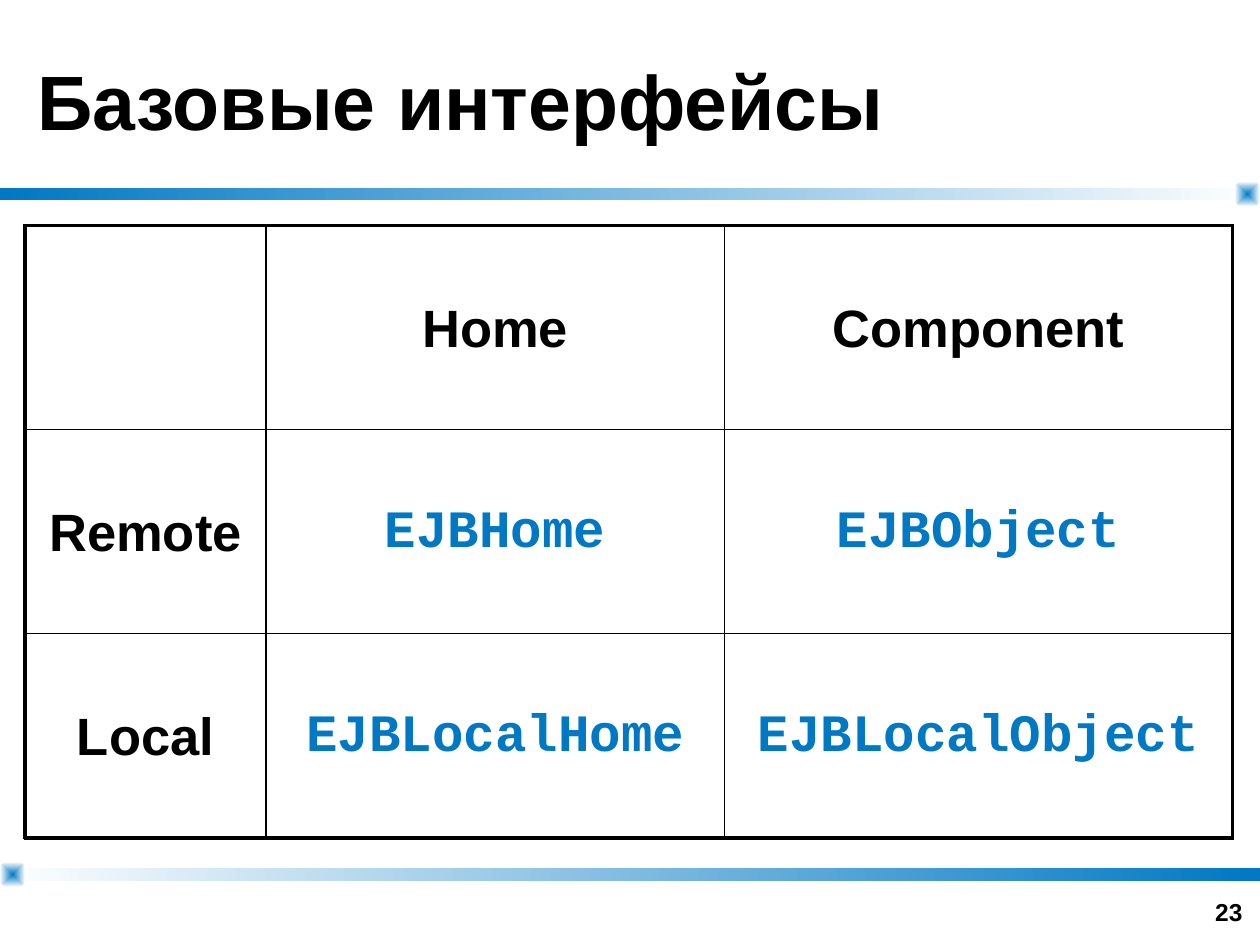
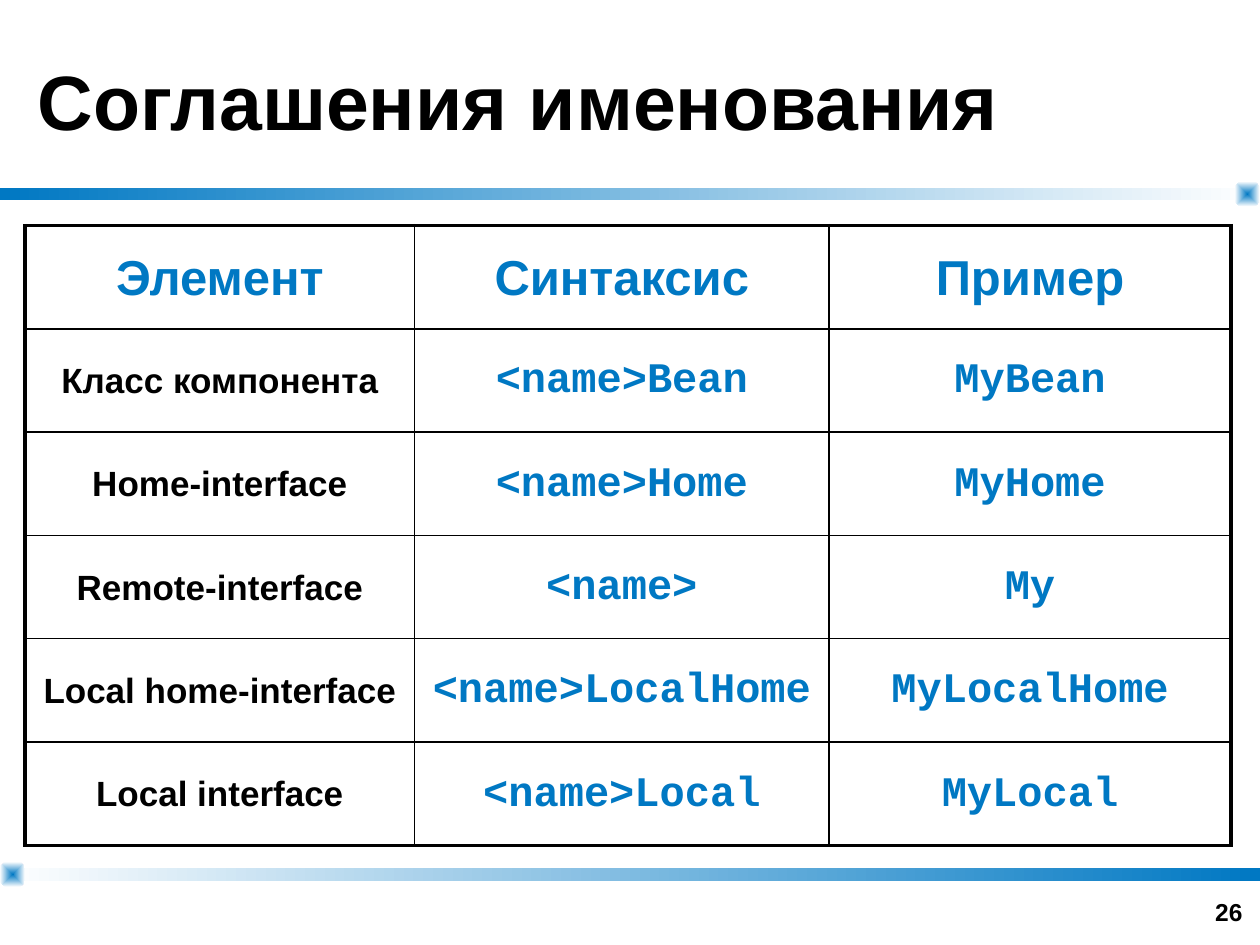
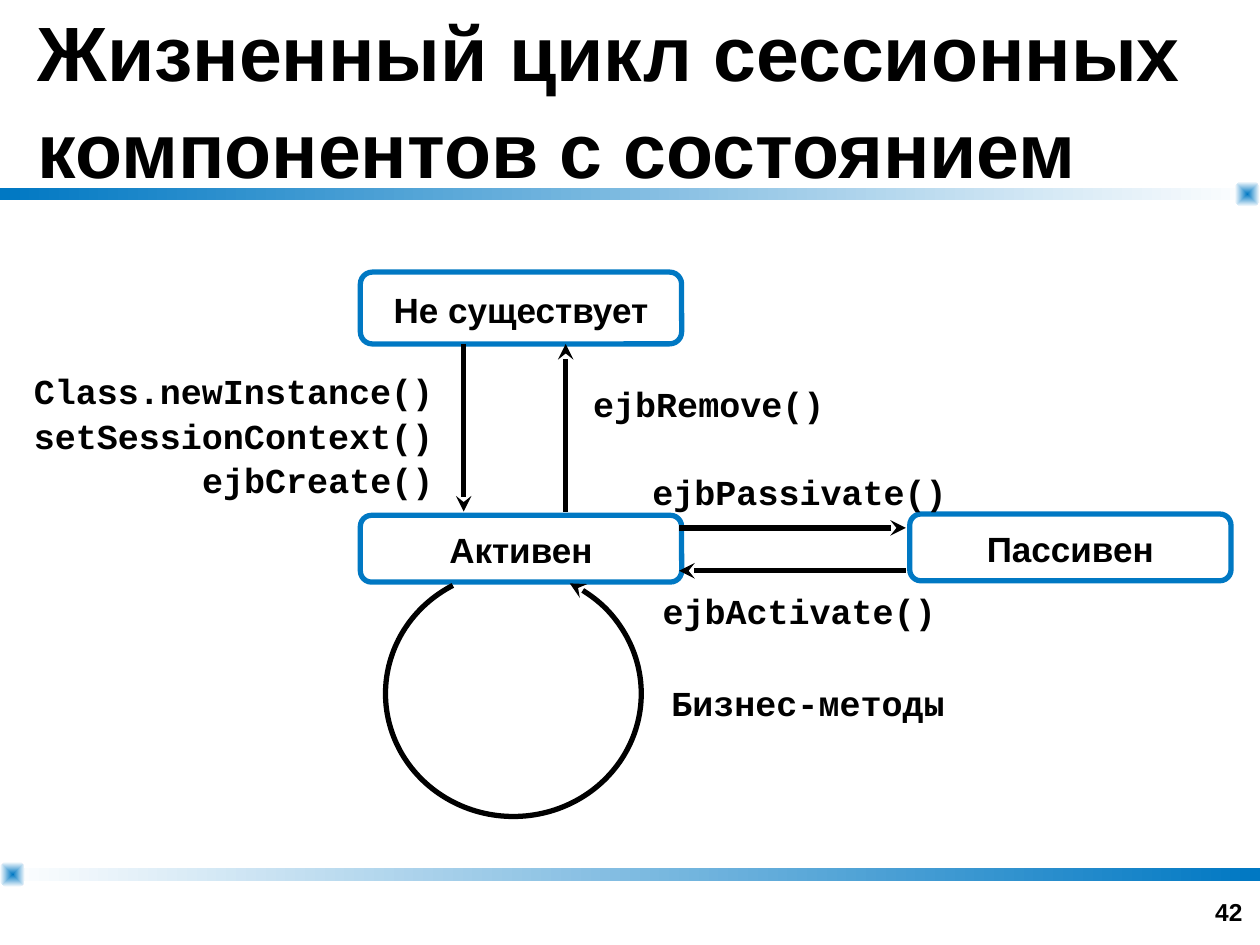
from dataclasses import dataclass

from lxml.etree import SubElement
from pptx import Presentation
from pptx.dml.color import RGBColor
from pptx.enum.shapes import MSO_CONNECTOR as Connector, MSO_SHAPE as Preset
from pptx.enum.text import MSO_ANCHOR as Anchor, PP_ALIGN as Align
from pptx.oxml import parse_xml
from pptx.oxml.ns import nsdecls, qn
from pptx.util import Inches, Pt


@dataclass(frozen=True)
class Theme:
    blue: RGBColor = RGBColor(0x00, 0x78, 0xC3)
    black: RGBColor = RGBColor(0, 0, 0)
    white: RGBColor = RGBColor(255, 255, 255)
    sans: str = "Arial"
    mono: str = "Courier New"
    title_size: int = 44
    number_size: int = 14
    matrix_size: int = 30
    heading_size: int = 28
    code_size: int = 24
    label_size: int = 20
    line_spacing: float = 1.05
    outer_border: float = 2.25
    inner_border: float = 1
    diagram_line: float = 3


theme = Theme()


def write_text(frame, text, size, font=theme.sans, color=theme.black,
               align=Align.LEFT, anchor=Anchor.MIDDLE):
    """Fill a text frame with bold text, one paragraph for each line of text."""
    frame.word_wrap = True
    frame.vertical_anchor = anchor
    frame.text = text
    for paragraph in frame.paragraphs:
        paragraph.alignment = align
        paragraph.line_spacing = theme.line_spacing
        run_font = paragraph.runs[0].font
        run_font.color.rgb = color
        for name, value in {"name": font, "size": Pt(size), "bold": True}.items():
            setattr(run_font, name, value)


def style_arrow(shape, arrow_end):
    """Draw a thick black line with a stealth arrowhead at headEnd or tailEnd."""
    shape.line.color.rgb = theme.black
    shape.line.width = Pt(theme.diagram_line)
    SubElement(shape.line._get_or_add_ln(), qn(f"a:{arrow_end}"), type="stealth")
    properties = shape._element.spPr
    if properties.find(qn("a:effectLst")) is None:
        SubElement(properties, qn("a:effectLst"))


presentation = Presentation()
presentation.slide_width = Inches(10)
presentation.slide_height = Inches(7.5)

# Shared frame: title, gradient bands with corner markers, slide number
titles = {
    23: "Базовые интерфейсы",
    26: "Соглашения именования",
    42: "Жизненный цикл сессионных компонентов с состоянием",
}
bands = [
    (1.49, theme.blue, theme.white, 9.8),
    (6.89, theme.white, theme.blue, 0),
]
slides = []
for number, title in titles.items():
    slide = presentation.slides.add_slide(presentation.slide_layouts[6])
    slides.append(slide)
    for top, start_color, end_color, marker_left in bands:
        band = slide.shapes.add_shape(
            Preset.RECTANGLE, 0, Inches(top), Inches(10), Inches(0.1))
        marker = slide.shapes.add_shape(
            Preset.ROUNDED_RECTANGLE, Inches(marker_left), Inches(top - 0.05),
            Inches(0.2), Inches(0.2))
        marker.adjustments[0] = 0.32
        for shape, colors in ((band, (start_color, end_color)),
                              (marker, (theme.blue, theme.white))):
            shape.shadow.inherit = False
            shape.line.fill.background()
            shape.fill.gradient()
            shape.fill.gradient_angle = 0
            for position, (stop, color) in enumerate(
                    zip(shape.fill.gradient_stops, colors)):
                stop.position = position
                stop.color.rgb = color
        gradient = marker._element.spPr.find(qn("a:gradFill"))
        gradient.replace(gradient.find(qn("a:lin")), parse_xml(
            f'<a:path {nsdecls("a")} path="shape">'
            '<a:fillToRect l="50000" t="50000" r="50000" b="50000"/></a:path>'))

    title_box = slide.shapes.add_textbox(
        Inches(0.2), 0, Inches(9.6), Inches(1.49))
    title_box.text_frame.margin_top = Inches(0.1)
    write_text(title_box.text_frame, title, theme.title_size)
    number_box = slide.shapes.add_textbox(
        Inches(7.63), Inches(6.9), Inches(2.33), Inches(0.5))
    write_text(number_box.text_frame, str(number), theme.number_size,
               align=Align.RIGHT, anchor=Anchor.BOTTOM)

interface_slide, naming_slide, lifecycle_slide = slides

# Tables: each has a style for its header row, first column and code cells
matrix_label = {"size": theme.matrix_size}
code = {"font": theme.mono, "color": theme.blue}
tables = [
    {
        "slide": interface_slide,
        "columns": [1.91, 3.64, 4.03],
        "row_height": 1.62,
        "header": matrix_label,
        "label": matrix_label,
        "code": {"size": theme.matrix_size, **code},
        "rows": [
            ["", "Home", "Component"],
            ["Remote", "EJBHome", "EJBObject"],
            ["Local", "EJBLocalHome", "EJBLocalObject"],
        ],
    },
    {
        "slide": naming_slide,
        "columns": [3.09, 3.29, 3.19],
        "row_height": 0.82,
        "header": {"size": theme.heading_size, "color": theme.blue},
        "label": {"size": theme.label_size},
        "code": {"size": theme.code_size, **code},
        "rows": [
            ["Элемент", "Синтаксис", "Пример"],
            ["Класс компонента", "<name>Bean", "MyBean"],
            ["Home-interface", "<name>Home", "MyHome"],
            ["Remote-interface", "<name>", "My"],
            ["Local home-interface", "<name>LocalHome", "MyLocalHome"],
            ["Local interface", "<name>Local", "MyLocal"],
        ],
    },
]
for content in tables:
    rows, columns = content["rows"], content["columns"]
    last_row, last_column = len(rows) - 1, len(columns) - 1
    table = content["slide"].shapes.add_table(
        len(rows), len(columns), Inches(0.2), Inches(1.79),
        Inches(sum(columns)), Inches(content["row_height"] * len(rows))).table
    table.first_row = table.horz_banding = False
    for column, width in zip(table.columns, columns):
        column.width = Inches(width)
    for row_index, row in enumerate(rows):
        table.rows[row_index].height = Inches(content["row_height"])
        for column_index, text in enumerate(row):
            cell = table.cell(row_index, column_index)
            cell.fill.background()
            role = ("header" if row_index == 0
                    else "label" if column_index == 0 else "code")
            if text:
                write_text(cell.text_frame, text, align=Align.CENTER,
                           **content[role])
            cell.vertical_anchor = Anchor.MIDDLE
            sides = {
                "lnL": column_index == 0,
                "lnR": column_index == last_column,
                "lnT": row_index == 0,
                "lnB": row_index == last_row,
            }
            for position, (side, is_outer) in enumerate(sides.items()):
                width = theme.outer_border if is_outer else theme.inner_border
                cell._tc.get_or_add_tcPr().insert(position, parse_xml(
                    f'<a:{side} {nsdecls("a")} w="{Pt(width)}"><a:solidFill>'
                    f'<a:srgbClr val="{theme.black}"/></a:solidFill></a:{side}>'))

# Life cycle: states, transitions and the loop of business methods
states = [
    ("Не существует", 2.86, 2.16, 0.57),
    ("Активен", 2.86, 4.09, 0.53),
    ("Пассивен", 7.22, 4.08, 0.53),
]
for name, left, top, height in states:
    state = lifecycle_slide.shapes.add_shape(
        Preset.ROUNDED_RECTANGLE, Inches(left), Inches(top),
        Inches(2.55), Inches(height))
    state.shadow.inherit = False
    state.fill.background()
    state.line.color.rgb = theme.blue
    state.line.width = Pt(theme.diagram_line)
    write_text(state.text_frame, name, theme.label_size, align=Align.CENTER)

transitions = [
    (3.68, 2.73, 3.68, 4.06),
    (4.49, 4.06, 4.49, 2.73),
    (5.39, 4.19, 7.19, 4.19),
    (7.19, 4.53, 5.39, 4.53),
]
for ends in transitions:
    transition = lifecycle_slide.shapes.add_connector(
        Connector.STRAIGHT, *map(Inches, ends))
    style_arrow(transition, "tailEnd")

business_loop = lifecycle_slide.shapes.add_shape(
    Preset.ARC, Inches(3.06), Inches(4.53), Inches(2.03), Inches(1.95))
business_loop.adjustments[0] = 178.26
business_loop.adjustments[1] = 144.48
business_loop.fill.background()
style_arrow(business_loop, "headEnd")

creation_calls = "Class.newInstance()\nsetSessionContext()\nejbCreate()"
labels = [
    (creation_calls, 0, 2.87, 3.54, 1.11, Align.RIGHT),
    ("ejbRemove()", 4.61, 2.97, 2.1, 0.44, Align.LEFT),
    ("ejbPassivate()", 5.08, 3.67, 2.56, 0.44, Align.LEFT),
    ("ejbActivate()", 5.16, 4.61, 2.39, 0.44, Align.LEFT),
    ("Бизнес-методы", 5.23, 5.34, 2.39, 0.44, Align.LEFT),
]
for text, left, top, width, height, align in labels:
    label = lifecycle_slide.shapes.add_textbox(
        Inches(left), Inches(top), Inches(width), Inches(height))
    write_text(label.text_frame, text, theme.label_size, theme.mono,
               align=align, anchor=Anchor.TOP)

presentation.save("out.pptx")
